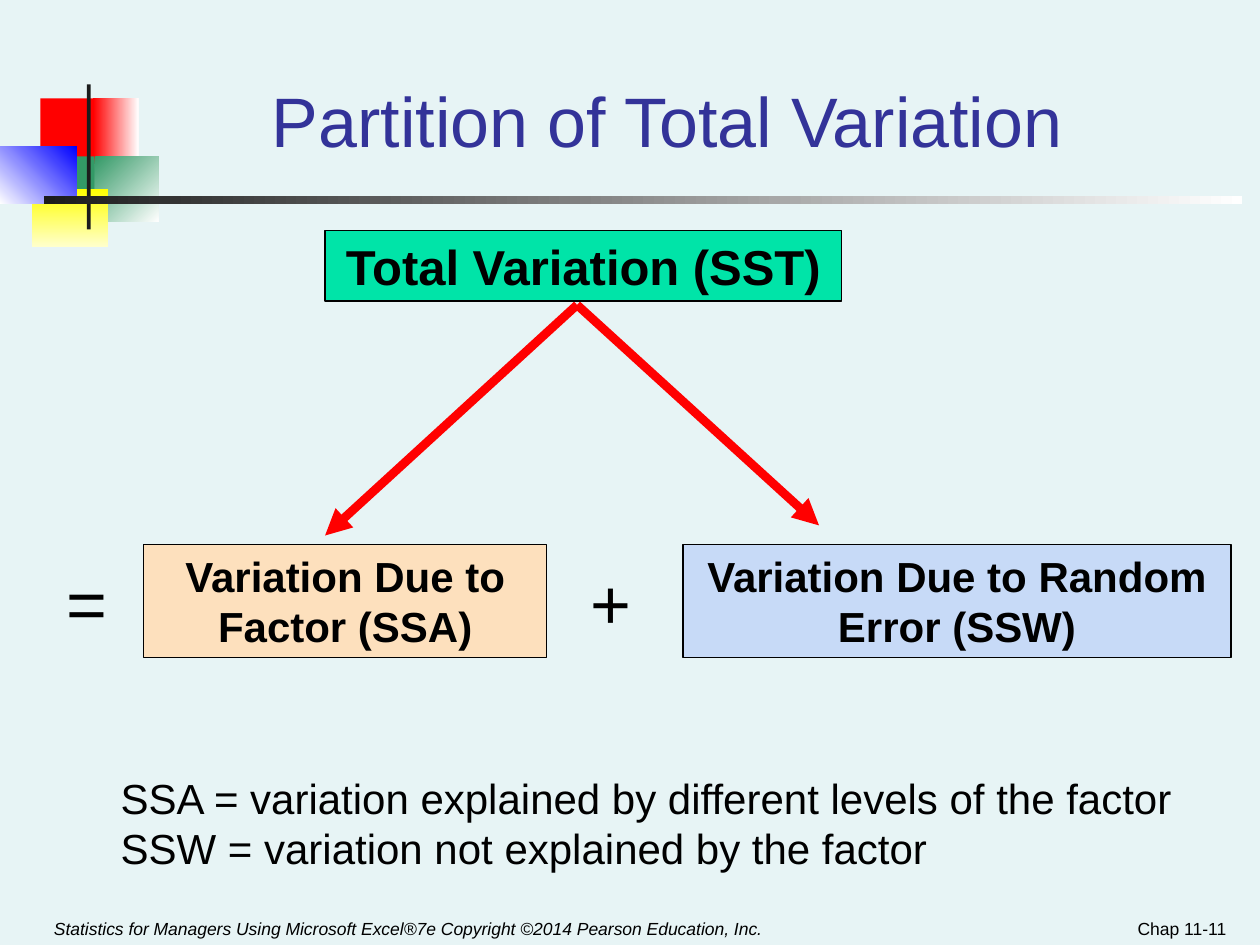
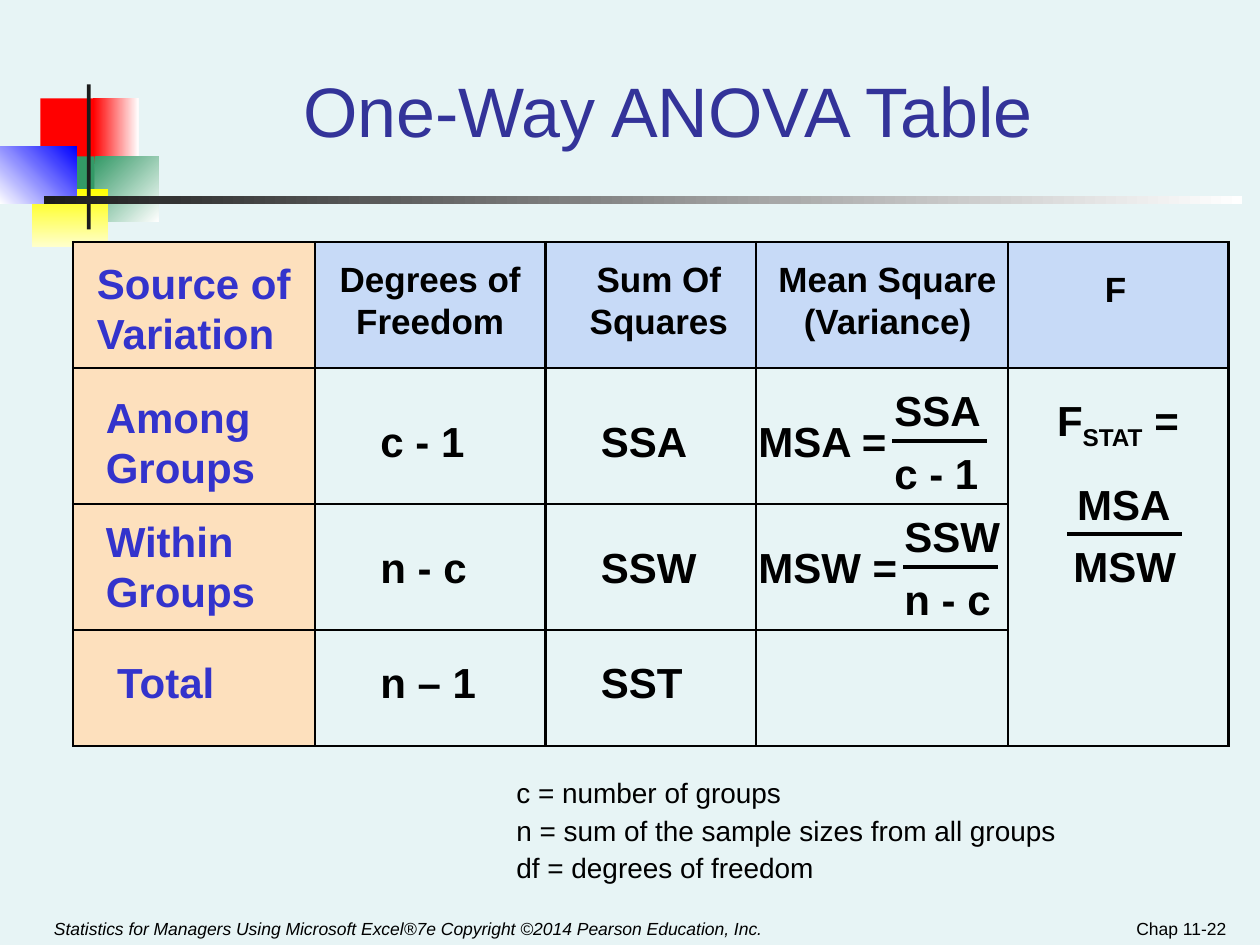
"""Build two slides on one-way ANOVA: the partition of variation and its table."""
from lxml.etree import SubElement
from pptx import Presentation
from pptx.dml.color import RGBColor
from pptx.enum.shapes import MSO_CONNECTOR, MSO_SHAPE
from pptx.enum.text import MSO_ANCHOR, PP_ALIGN
from pptx.oxml.ns import qn
from pptx.util import Inches, Pt


class Theme:
    font = "Arial"
    back, ink, title, label = "E7F4F5", "000000", "333399", "3333CC"
    peach, sky, mint, red = "FDE0BD", "C7DAF7", "00E4A8", "FF0000"
    dark, white, green, blue = "1C1C1C", "FFFFFF", "339966", "0000FF"
    gold, cream = "FFFF00", "FFFFCC"
    huge, big, body, head, note, foot = 40, 28, 24, 20, 16, 10


def write(frame, text, size, tint=Theme.ink, align=PP_ALIGN.LEFT,
          anchor=MSO_ANCHOR.TOP, gap=0, lead=None, **style):
    setup = {"word_wrap": True, "vertical_anchor": anchor}
    for key, val in setup.items():
        setattr(frame, key, val)
    look = {"name": Theme.font, "size": Pt(size), **style}
    for num, words in enumerate(text.split("\n")):
        para = frame.add_paragraph() if num else frame.paragraphs[0]
        para.alignment = align
        if lead:
            para.line_spacing = lead
        if num and gap:
            para.space_before = Pt(gap)
        for part, chunk in enumerate(words.split("_")):
            run = para.add_run()
            run.text = chunk
            for key, val in look.items():
                setattr(run.font, key, val)
            run.font.color.rgb = RGBColor.from_string(tint)
            if part == 1:
                run._r.get_or_add_rPr().set("baseline", "-25000")


def rule(page, start, end, tint, width, arrow=False):
    ends = [Inches(val) for val in (*start, *end)]
    line = page.shapes.add_connector(MSO_CONNECTOR.STRAIGHT, *ends)
    line.line.color.rgb = RGBColor.from_string(tint)
    line.line.width = Pt(width)
    SubElement(line._element.spPr, qn("a:effectLst"))
    if arrow:
        SubElement(line.line._get_or_add_ln(), qn("a:tailEnd"), type="triangle")


deck = Presentation()
deck.slide_width, deck.slide_height = Inches(10), Inches(7.5)

center, low = PP_ALIGN.CENTER, MSO_ANCHOR.BOTTOM
decor = [
    ((0.32, 0.78, 0.48, 0.52), [Theme.red], 0),
    ((0.74, 0.78, 0.36, 0.52), [Theme.red, Theme.white], 0),
    ((0.75, 1.24, 0.51, 0.52), [Theme.green, Theme.white], 315),
    ((0.43, 1.24, 0.32, 0.52), [Theme.green], 0),
    ((0.25, 1.5, 0.61, 0.46), [Theme.gold, Theme.cream], 270),
    ((0, 1.16, 0.61, 0.46), [Theme.white, Theme.blue], 45),
    ((0.69, 0.67, 0.03, 1.15), [Theme.dark], 0),
    ((0.35, 1.56, 9.51, 0.06), [Theme.dark, Theme.white], 0),
]
credit = "Statistics for Managers Using Microsoft Excel®7e Copyright ©2014 Pearson Education, Inc."
heads = [
    ("Partition of Total Variation", (1.26, 0.25, 8.07, 1.08), 1.1, "Chap 11-11"),
    ("One-Way ANOVA Table", (1.08, 0.42, 8.44, 0.83), None, "Chap 11-22"),
]
pages = []
for title, spot, lead, mark in heads:
    page = deck.slides.add_slide(deck.slide_layouts[6])
    page.background.fill.solid()
    page.background.fill.fore_color.rgb = RGBColor.from_string(Theme.back)
    for at, tints, angle in decor:
        block = page.shapes.add_shape(MSO_SHAPE.RECTANGLE, *map(Inches, at))
        block.shadow.inherit = False
        block.line.fill.background()
        if len(tints) == 1:
            block.fill.solid()
            block.fill.fore_color.rgb = RGBColor.from_string(tints[0])
        else:
            block.fill.gradient()
            block.fill.gradient_angle = angle
            for stop, tint in zip(block.fill.gradient_stops, tints):
                stop.color.rgb = RGBColor.from_string(tint)
    for at, text, size, form in [
        (spot, title, Theme.huge, {"tint": Theme.title, "align": center, "lead": lead}),
        ((0.33, 7.08, 6.08, 0.42), credit, Theme.foot, {"italic": True}),
        ((7.5, 7.15, 2.33, 0.35), mark, Theme.foot, {"align": PP_ALIGN.RIGHT}),
    ]:
        box = page.shapes.add_textbox(*map(Inches, at))
        write(box.text_frame, text, size, anchor=low, **form)
    pages.append(page)
split, anova = pages

for end in [(2.58, 4.25), (6.5, 4.17)]:
    rule(split, (4.58, 2.42), end, Theme.red, 5, arrow=True)
for at, text, size, tint, edge in [
    ((1.14, 4.32, 3.2, 0.9), "Variation Due to Factor (SSA)", Theme.body, Theme.peach, 0.75),
    ((5.42, 4.32, 4.35, 0.9), "Variation Due to Random Error (SSW)", Theme.body, Theme.sky, 0.75),
    ((2.58, 1.83, 4.1, 0.56), "Total Variation (SST)", Theme.big, Theme.mint, 1),
]:
    box = split.shapes.add_shape(MSO_SHAPE.RECTANGLE, *map(Inches, at))
    box.shadow.inherit = False
    box.fill.solid()
    box.fill.fore_color.rgb = RGBColor.from_string(tint)
    box.line.color.rgb = RGBColor.from_string(Theme.ink)
    box.line.width = Pt(edge)
    write(box.text_frame, text, size, align=center, bold=True)
for left, sign in [(0.43, "="), (4.59, "+")]:
    box = split.shapes.add_textbox(*map(Inches, (left, 4.39, 0.91, 0.76)))
    write(box.text_frame, sign, Theme.huge)
box = split.shapes.add_textbox(*map(Inches, (0.86, 6.08, 8.7, 0.9)))
write(box.text_frame, "SSA = variation explained by different levels of the factor\n"
      "SSW = variation not explained by the factor", Theme.body)

cells = [
    ["Source of Variation", "Degrees of\nFreedom", "Sum Of\nSquares",
     "Mean Square\n(Variance)", "F"],
    ["Among Groups", "c - 1", "SSA", "MSA =", "F_STAT_ ="],
    ["Within Groups", "n - c", "SSW", "MSW =", ""],
    ["Total", "n – 1", "SST", "", ""],
]
lefts = [[0.19, 0, 0.13, 0.09, 0.77]]
lefts += [[pad, 0.52, 0.44, 0.02, 0.39] for pad in (0.26, 0.26, 0.35)]
tops = [
    [0.13, 0.13, 0.13, 0.13, 0.21],
    [0.19, 0.38, 0.38, 0.38, 0.21],
    [0.1, 0.3, 0.3, 0.3, 0],
    [0.22, 0.22, 0.22, 0.22, 0],
]
grid = anova.shapes.add_table(4, 5, *map(Inches, (0.58, 1.92, 9.17, 4))).table
grid.first_row = grid.horz_banding = False
grid._tbl.tblPr[0].text = "{2D5ABB26-0587-4C30-8999-92F81FD0307C}"
for col, width in zip(grid.columns, (1.92, 1.83, 1.67, 2, 1.75)):
    col.width = Inches(width)
for row, height in zip(grid.rows, (1, 1.08, 1, 0.92)):
    row.height = Inches(height)
grid.cell(1, 4).merge(grid.cell(3, 4))
for row, words in enumerate(cells):
    for col, text in enumerate(words):
        cell = grid.cell(row, col)
        pads = {"margin_left": lefts[row][col], "margin_top": tops[row][col],
                "margin_right": 0, "margin_bottom": 0}
        for key, val in pads.items():
            setattr(cell, key, Inches(val))
        sides = "LRTB"
        if cell.is_spanned:
            sides = "LRB" if row == 3 else "LR"
        for side in sides:
            edge = SubElement(cell._tc.get_or_add_tcPr(), qn("a:ln" + side), w=str(Pt(1.5)))
            SubElement(SubElement(edge, qn("a:solidFill")), qn("a:srgbClr"), val=Theme.ink)
        if col == 0 or row == 0:
            cell.fill.solid()
            shade = Theme.sky if col else Theme.peach
            cell.fill.fore_color.rgb = RGBColor.from_string(shade)
        else:
            cell.fill.background()
        if text:
            size = Theme.head if col and not row else Theme.body
            align = center if row == 0 and 0 < col < 4 else PP_ALIGN.LEFT
            tint = Theme.ink if col else Theme.label
            write(cell.text_frame, text, size, tint, align, lead=1.07, bold=True)

for upper, lower, start, end in [
    ((8.45, 3.75, "MSA"), (8.42, 4.24, "MSW"), (8.47, 4.24), (9.38, 4.24)),
    ((7, 3, "SSA"), (7, 3.5, "c - 1"), (7.08, 3.5), (7.83, 3.5)),
    ((7.08, 4, "SSW"), (7.08, 4.5, "n - c"), (7.17, 4.5), (7.92, 4.5)),
]:
    for left, top, text in (upper, lower):
        box = anova.shapes.add_textbox(*map(Inches, (left, top, 1.1, 0.5)))
        write(box.text_frame, text, Theme.body, bold=True)
    rule(anova, start, end, Theme.ink, 2.25)

box = anova.shapes.add_textbox(*map(Inches, (4, 6.17, 5.58, 0.9)))
write(box.text_frame, "c = number of groups\nn = sum of the sample sizes from all groups\n"
      "df = degrees of freedom", Theme.note, gap=7, lead=0.75)

deck.save("out.pptx")
